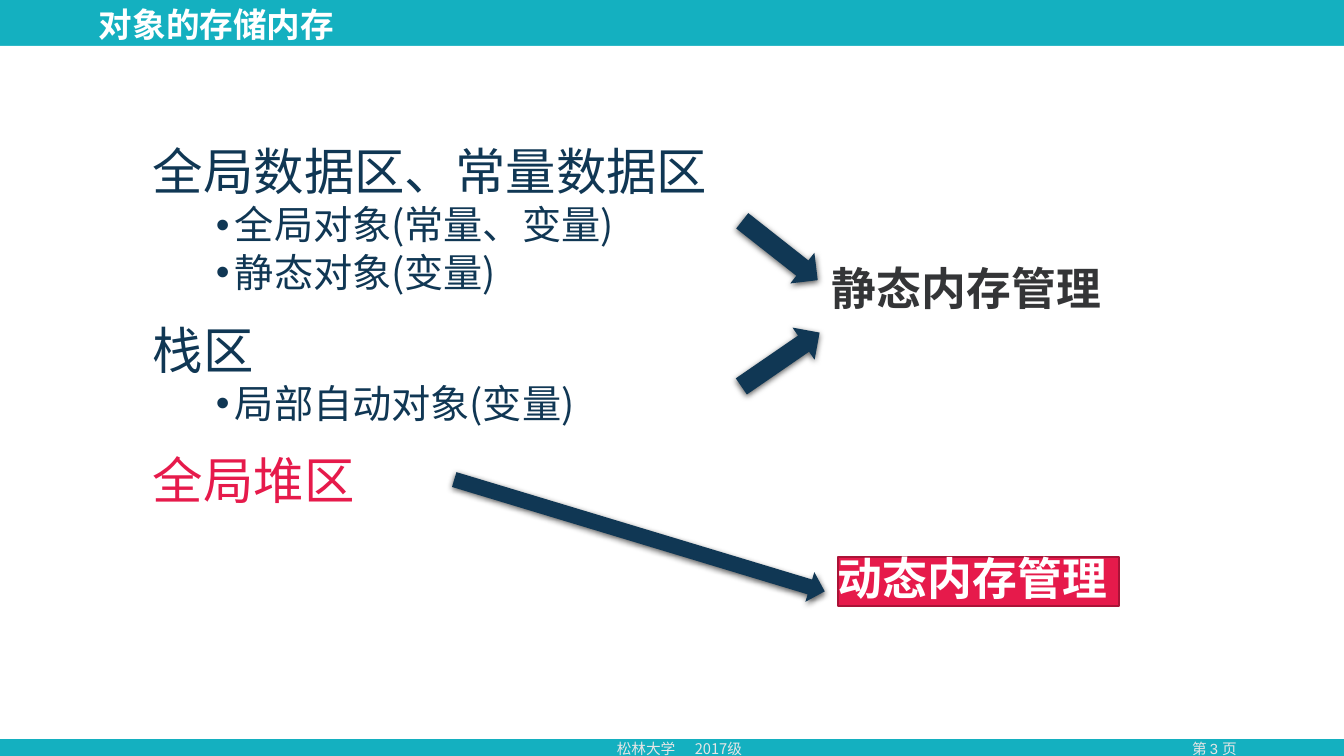
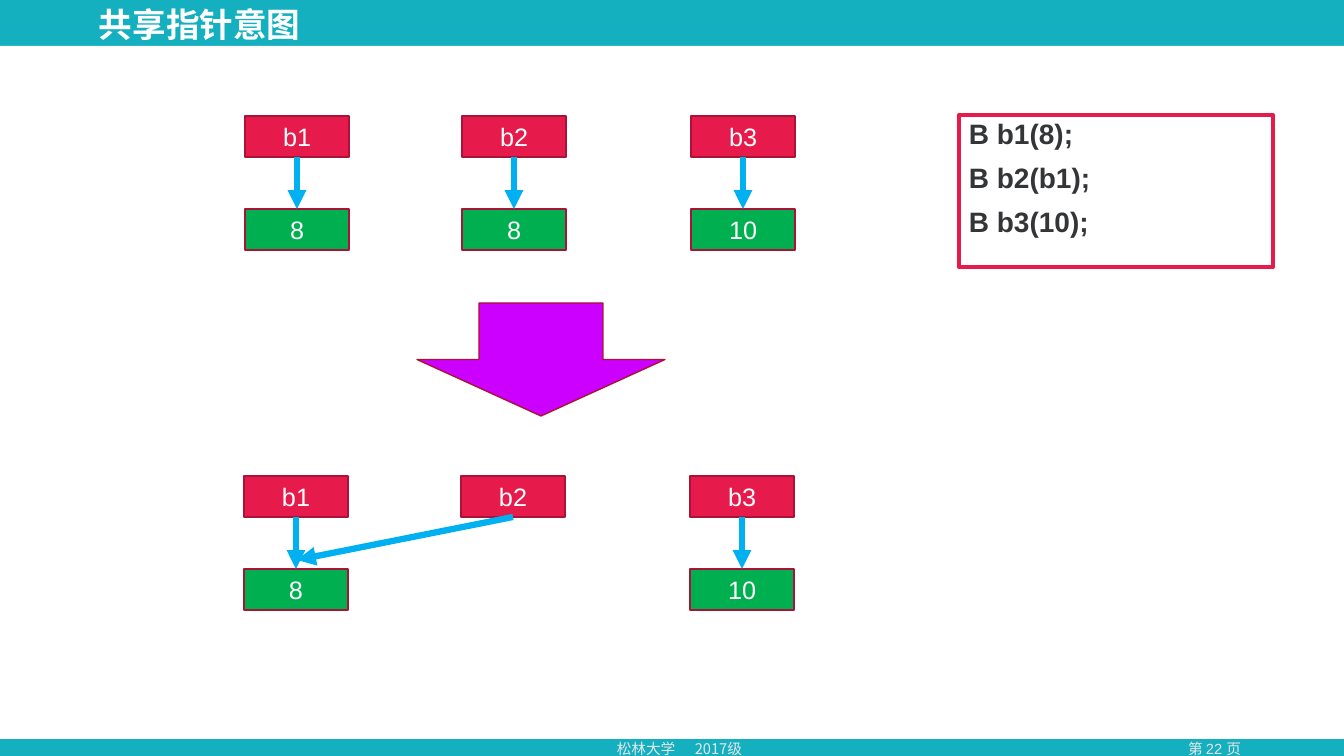
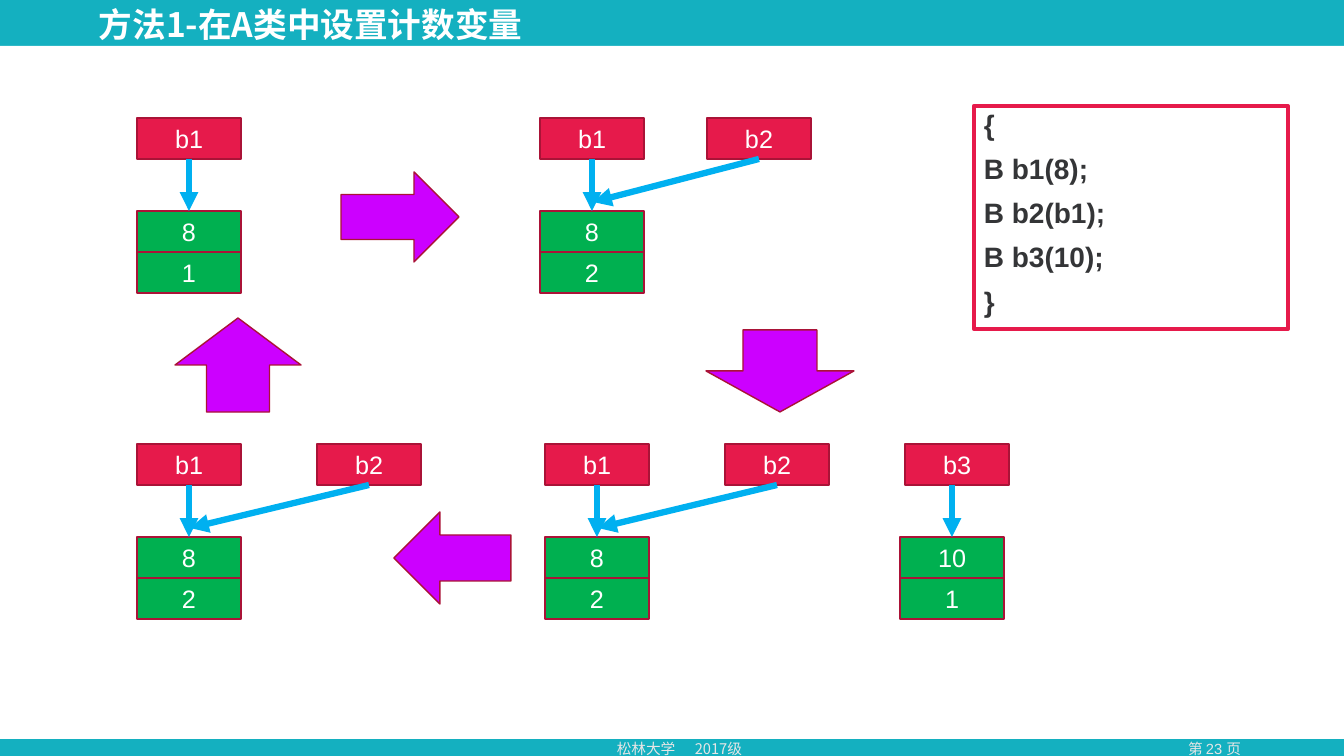
from dataclasses import dataclass

from lxml import etree
from pptx import Presentation
from pptx.dml.color import RGBColor
from pptx.enum.shapes import MSO_CONNECTOR, MSO_SHAPE
from pptx.enum.text import MSO_ANCHOR, PP_ALIGN
from pptx.oxml.ns import qn
from pptx.util import Pt

RECT = MSO_SHAPE.RECTANGLE
RIGHT, LEFT = MSO_SHAPE.RIGHT_ARROW, MSO_SHAPE.LEFT_ARROW
UP, DOWN = MSO_SHAPE.UP_ARROW, MSO_SHAPE.DOWN_ARROW
STRAIGHT = MSO_CONNECTOR.STRAIGHT
TOP, MIDDLE = MSO_ANCHOR.TOP, MSO_ANCHOR.MIDDLE
START, CENTER, JUSTIFY = PP_ALIGN.LEFT, PP_ALIGN.CENTER, PP_ALIGN.JUSTIFY


@dataclass(frozen=True)
class Theme:
    """Colours, fonts and type sizes of the deck."""
    teal: str = "14B0C0"
    white: str = "FFFFFF"
    pale: str = "E7E6E6"
    navy: str = "103754"
    red: str = "E61A4B"
    edge: str = "AA1337"
    green: str = "00B050"
    blue: str = "00B0F0"
    violet: str = "CC00FF"
    ink: str = "343537"
    latin: str = "Arial"
    cjk: str = "Noto Sans CJK SC"
    head: float = 36
    label: float = 32
    item: float = 28
    title: float = 24
    code: float = 20
    node: float = 18
    foot: float = 10.5


T = Theme()
WIDE, HIGH = 1344, 756
BOX_W, BOX_H = 104, 41
DROP = 93      # from the top of a name box to the top of its value
JOIN = 84      # from the top of a name box to where a shared arrow ends


def px(length):
    """Turn pixels into EMU."""
    return round(length * 914400 / 100.8)


def rgb(code):
    """Make a colour from its hex code."""
    return RGBColor.from_string(code)


def add(parent, tag, **attrs):
    """Append a drawing element to an XML parent."""
    node = etree.SubElement(parent, qn(tag))
    for key, value in attrs.items():
        node.set(key, str(value))
    return node


def draw(slide, kind, box, fill=None, line=None, width=1):
    """Draw a preset shape in a pixel box."""
    shape = slide.shapes.add_shape(kind, *map(px, box))
    shape.shadow.inherit = False
    if fill:
        shape.fill.solid()
        shape.fill.fore_color.rgb = rgb(fill)
    else:
        shape.fill.background()
    if line:
        shape.line.color.rgb = rgb(line)
        shape.line.width = Pt(width)
    else:
        shape.line.fill.background()
    return shape


def area(slide, box):
    """Add a text box in a pixel box."""
    return slide.shapes.add_textbox(*map(px, box))


def setup(shape, anchor=TOP, inset=None):
    """Prepare the text frame of a shape."""
    frame = shape.text_frame
    frame.word_wrap = True
    frame.vertical_anchor = anchor
    if inset is not None:
        frame.margin_left = frame.margin_right = inset
        frame.margin_top = frame.margin_bottom = inset
    return frame


def write(frame, text, size, color, font=T.latin, bold=False,
          align=START, pitch=1.0, before=0):
    """Write one paragraph, using the empty first one if there is one."""
    para = frame.paragraphs[0]
    if para.runs:
        para = frame.add_paragraph()
    para.alignment = align
    para.line_spacing = pitch
    para.space_before = Pt(before)
    run = para.add_run()
    run.text = text
    run.font.size = Pt(size)
    run.font.bold = bold
    run.font.name = font
    run.font.color.rgb = rgb(color)
    add(run.font._element, "a:ea", typeface=T.cjk)
    return para


def frame(deck, title, page):
    """Start a slide with its bands, title and footer."""
    slide = deck.slides.add_slide(deck.slide_layouts[6])
    draw(slide, RECT, (0, 0, WIDE, HIGH), T.teal)
    draw(slide, RECT, (0, 46, WIDE, 693), T.white)
    number = setup(area(slide, (1141, 735, 147, 28)))
    write(number, f"第 {page} 页", T.foot, T.pale, align=CENTER)
    school = setup(area(slide, (607, 735, 185, 28)))
    para = write(school, "松林大学\t2017级", T.foot, T.pale, T.cjk)
    tabs = add(para._p.get_or_add_pPr(), "a:tabLst")
    add(tabs, "a:tab", pos=px(78), algn="l")
    head = setup(area(slide, (89, 7, 740, 39)), MIDDLE)
    write(head, title, T.title, T.white, T.cjk, True, pitch=0.9)
    return slide


def areas(slide, box, groups):
    """List memory areas, each with its bulleted objects."""
    body = setup(area(slide, box))
    for name, color, items in groups:
        write(body, name, T.head, color, T.cjk, align=JUSTIFY,
              pitch=1.1, before=12)
        for item in items:
            para = write(body, item, T.item, T.navy, T.cjk,
                         pitch=0.9, before=3.8)
            para.level = 1
            props = para._p.get_or_add_pPr()
            props.set("marL", str(px(82)))
            props.set("indent", str(px(-19)))
            add(props, "a:buFont", typeface=T.latin)
            add(props, "a:buChar", char="•")


def pointer(slide, box, turn):
    """Draw a turned navy arrow with a soft shadow."""
    arrow = draw(slide, RIGHT, box, T.navy)
    arrow.rotation = turn
    effects = arrow._element.spPr.find(qn("a:effectLst"))
    shadow = add(effects, "a:outerShdw", blurRad=Pt(4.5), dist=Pt(1.5),
                 dir=5400000, algn="ctr", rotWithShape=0)
    add(add(shadow, "a:srgbClr", val="000000"), "a:alpha", val=63000)


def label(shape, text, color):
    """Write a bold label without insets."""
    write(setup(shape, inset=0), text, T.label, color, bold=True, pitch=0.9)


def cell(slide, x, y, text, fill):
    """Draw one name or value box."""
    shape = draw(slide, RECT, (x, y, BOX_W, BOX_H), fill, T.edge)
    write(setup(shape, MIDDLE), text, T.node, T.white, align=CENTER)


def link(slide, start, end):
    """Draw a blue arrow between two points."""
    line = slide.shapes.add_connector(STRAIGHT, *map(px, start + end))
    line.line.color.rgb = rgb(T.blue)
    line.line.width = Pt(4.5)
    add(line.line._get_or_add_ln(), "a:tailEnd", type="triangle")
    add(line._element.spPr, "a:effectLst")


def owner(slide, x, y, name, values, shift=0):
    """Draw a name box that points at its own stack of values."""
    cell(slide, x, y, name, T.red)
    for row, value in enumerate(values):
        cell(slide, x + shift, y + DROP + row * BOX_H, value, T.green)
    mid = x + shift + BOX_W // 2
    link(slide, (mid, y + BOX_H), (mid, y + DROP))


def sharer(slide, x, y, name, target):
    """Draw a name box that points at the value under another name."""
    cell(slide, x, y, name, T.red)
    half = BOX_W // 2
    link(slide, (x + half, y + BOX_H), (target + half + 1, y + JOIN))


def step(slide, kind, box):
    """Draw a violet block arrow between two states."""
    draw(slide, kind, box, T.violet, T.edge)


def code(slide, box, lines):
    """Show lines of code in a red outline."""
    text = setup(draw(slide, RECT, box, line=T.red, width=3))
    for line in lines:
        write(text, line, T.code, T.ink, bold=True, pitch=0.9, before=10)


def memory(deck):
    """Build the slide on memory areas."""
    slide = frame(deck, "对象的存储内存", 3)
    areas(slide, (143, 129, 685, 543), [
        ("全局数据区、常量数据区", T.navy,
         ["全局对象(常量、变量)", "静态对象(变量)"]),
        ("栈区", T.navy, ["局部自动对象(变量)"]),
        ("全局堆区", T.red, []),
    ])
    pointer(slide, (732, 231, 96, 39), 38.2)
    pointer(slide, (733, 340, 95, 39), 325.5)
    pointer(slide, (446, 520, 387, 31), 16.8)
    label(area(slide, (832, 267, 274, 48)), "静态内存管理", T.ink)
    block = draw(slide, RECT, (838, 557, 281, 49), T.red, T.edge)
    label(block, "动态内存管理", T.white)


def intent(deck):
    """Build the slide on the intent of shared pointers."""
    slide = frame(deck, "共享指针意图", 22)
    for x, name, value in [(245, "b1", "8"), (462, "b2", "8"),
                           (691, "b3", "10")]:
        owner(slide, x, 116, name, [value])
    low = 476
    owner(slide, 244, low, "b1", ["8"])
    sharer(slide, 461, low, "b2", 244)
    owner(slide, 690, low, "b3", ["10"])
    step(slide, DOWN, (417, 303, 248, 113))
    code(slide, (959, 115, 314, 152), ["B b1(8);", "B b2(b1);", "B b3(10);"])


def counter(deck):
    """Build the slide on counting inside class A."""
    slide = frame(deck, "方法1-在A类中设置计数变量", 23)
    high, low = 118, 444
    owner(slide, 137, high, "b1", ["8", "1"])
    for x, gap, y in [(540, 167, high), (545, 180, low), (137, 180, low)]:
        owner(slide, x, y, "b1", ["8", "2"])
        sharer(slide, x + gap, y, "b2", x)
    owner(slide, 905, low, "b3", ["10", "1"], shift=-5)
    step(slide, RIGHT, (341, 172, 118, 90))
    step(slide, DOWN, (706, 330, 148, 82))
    step(slide, LEFT, (394, 512, 117, 92))
    step(slide, UP, (175, 318, 126, 94))
    code(slide, (974, 106, 314, 223),
         ["{", "B b1(8);", "B b2(b1);", "B b3(10);", "}"])


def main():
    """Build and save the deck."""
    deck = Presentation()
    deck.slide_width, deck.slide_height = px(WIDE), px(HIGH)
    for build in (memory, intent, counter):
        build(deck)
    deck.save("out.pptx")


main()
